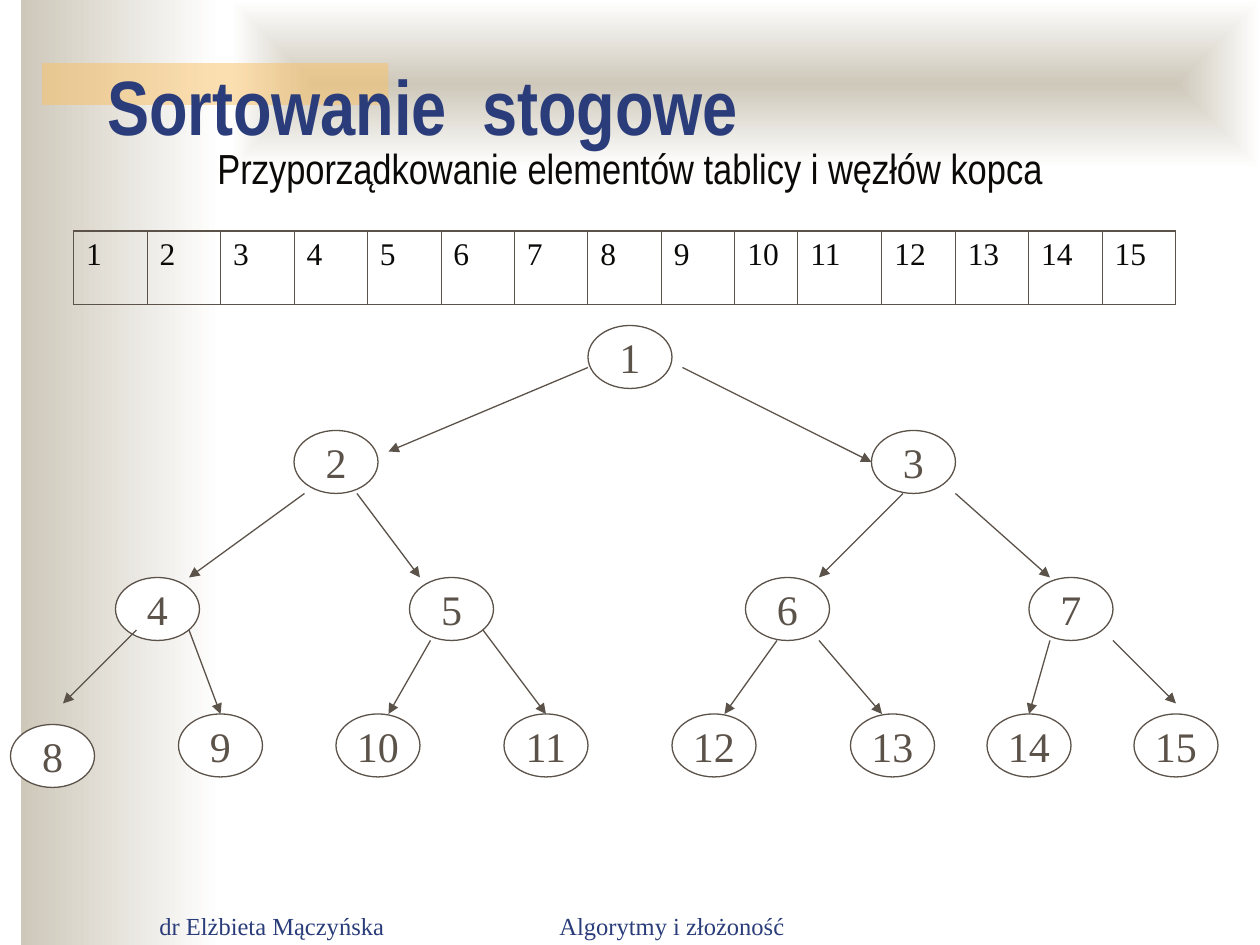
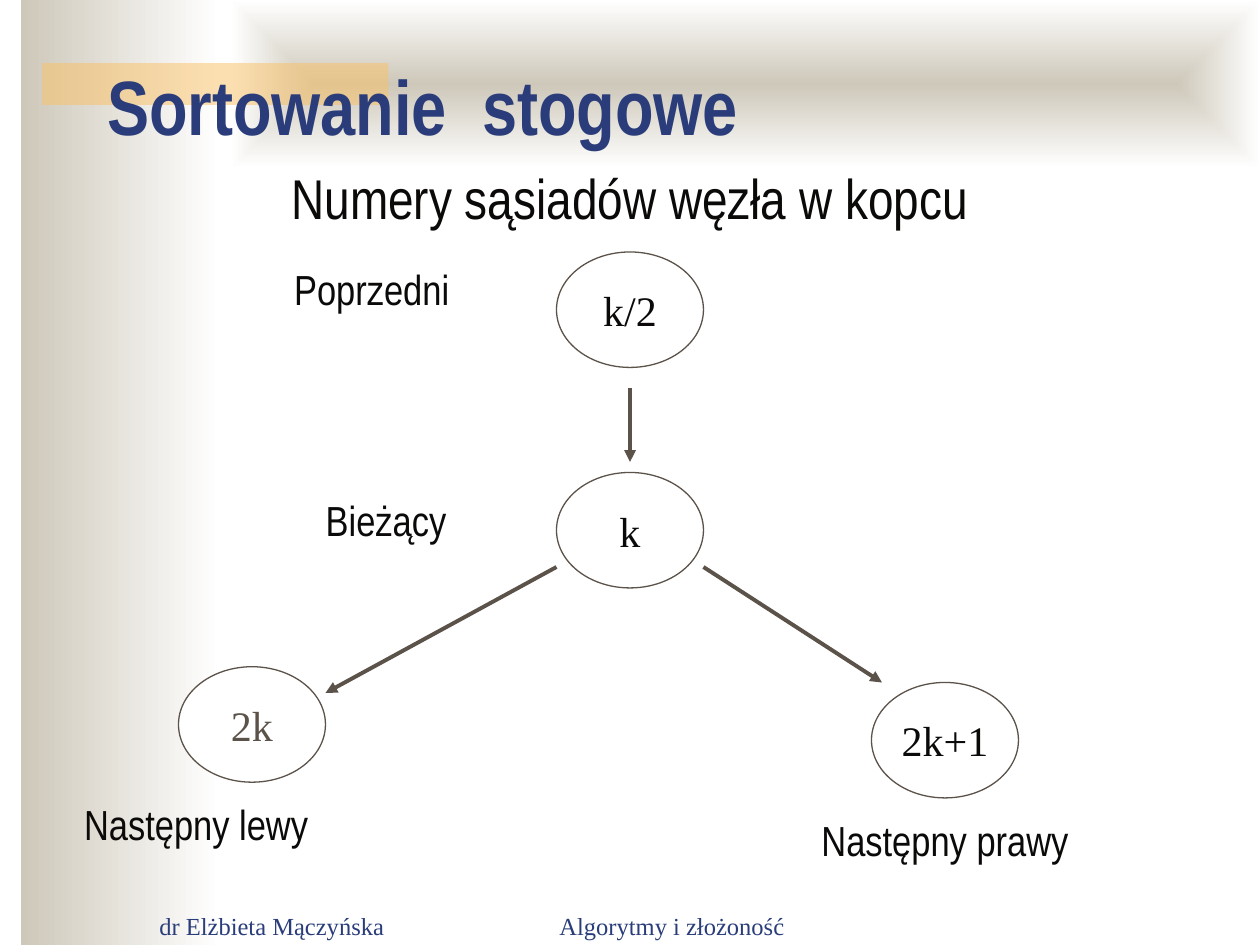
from dataclasses import dataclass

from lxml import etree
from pptx import Presentation
from pptx import util as u
from pptx.dml.color import RGBColor
from pptx.enum import shapes, text
from pptx.oxml.ns import qn

Pt = u.Pt
LEFT, CENTER = text.PP_ALIGN.LEFT, text.PP_ALIGN.CENTER


@dataclass(frozen=True)
class Theme:
    navy: str = "2A3D7A"
    brown: str = "5B5249"
    ink: str = "0B0A09"
    sand: str = "CEC8BA"
    amber: str = "FAC164"
    white: str = "FFFFFF"
    narrow: str = "Arial Narrow"
    serif: str = "Times New Roman"
    title_size: int = 44
    heading_size: int = 32
    label_size: int = 24
    index_size: int = 18
    footer_size: int = 14
    thin: float = 0.75
    thick: float = 2.25
    grid_outer: float = 1.08
    grid_inner: float = 0.45


THEME = Theme()
TITLE = "Sortowanie  stogowe"
MARGINS = {"margin_left": Pt(7.2), "margin_right": Pt(7.2),
           "margin_top": Pt(3.6), "margin_bottom": Pt(3.6)}
NODE_SIZE = (48, 36)
HEAP_NODES = {
    1: (336, 186), 2: (168, 246), 3: (498, 246),
    4: (66, 330), 5: (234, 330), 6: (426, 330), 7: (588, 330),
    8: (6, 414), 9: (102, 408), 10: (192, 408), 11: (288, 408),
    12: (384, 408), 13: (486, 408), 14: (564, 408), 15: (648, 408),
}
ARROWS_TO_CHILD = {
    2: (336, 210, 222, 258), 3: (390, 210, 498, 264),
    4: (174, 282, 108, 330), 5: (204, 282, 240, 330),
    6: (516, 282, 468, 330), 7: (546, 282, 600, 330),
    8: (78, 360, 36, 402), 9: (108, 360, 126, 408),
    10: (246, 366, 222, 408), 11: (276, 360, 312, 408),
    12: (444, 366, 414, 408), 13: (468, 366, 504, 408),
    14: (600, 366, 588, 408), 15: (636, 366, 672, 402),
}
NEIGHBOUR_SIZE = (84, 66)
NEIGHBOURS = [
    ("k/2", 318, 144, THEME.ink),
    ("k", 318, 270, THEME.ink),
    ("2k", 102, 381, THEME.brown),
    ("2k+1", 498, 390, THEME.ink),
]
NEIGHBOUR_ARROWS = [
    (360, 222, 360, 264), (318, 324, 186, 396), (402, 324, 504, 390),
]
NEIGHBOUR_LABELS = [
    ("Poprzedni", 161, 147, 108), ("Bieżący", 179, 279, 90),
    ("Następny lewy", 41, 453, 150), ("Następny prawy", 462.3, 462, 162),
]


def rgb(value):
    return RGBColor.from_string(value)


def apply(target, values):
    for name, value in values.items():
        setattr(target, name, value)


def pts(*lengths):
    return [Pt(length) for length in lengths]


def write(frame, words, font, size, color, align=LEFT, bold=False,
          anchor=text.MSO_ANCHOR.TOP, wrap=True):
    apply(frame, MARGINS | {
        "vertical_anchor": anchor, "word_wrap": wrap,
        "auto_size": text.MSO_AUTO_SIZE.NONE, "text": words,
    })
    style(frame.paragraphs[0], font, size, color, align, bold)


def style(paragraph, font, size, color, align=LEFT, bold=False):
    apply(paragraph, {"alignment": align, "space_before": Pt(0)})
    apply(paragraph.font, {"name": font, "size": Pt(size), "bold": bold})
    paragraph.font.color.rgb = rgb(color)


def add_text(slide, box, words, **look):
    write(slide.shapes.add_textbox(*pts(*box)).text_frame, words, **look)


def add_band(slide, box):
    band = slide.shapes.add_shape(shapes.MSO_SHAPE.RECTANGLE, *pts(*box))
    band.shadow.inherit = False
    band.line.fill.background()
    return band


def fade(band):
    band.fill.gradient()
    band.fill.gradient_angle = 0
    for stop, (position, color) in zip(band.fill.gradient_stops,
                                       [(0, THEME.sand), (1, THEME.white)]):
        stop.position = position
        stop.color.rgb = rgb(color)


def fade_from_center(band):
    fade(band)
    gradient = band._element.spPr.find(qn("a:gradFill"))
    direction = etree.Element(qn("a:path"), {"path": "rect"})
    etree.SubElement(direction, qn("a:fillToRect"), dict.fromkeys("ltrb", "50000"))
    gradient.replace(gradient.find(qn("a:lin")), direction)


def add_master_bands(slide, master):
    side = add_band(slide, (12, 0, 114, 540))
    fade(side)
    top = add_band(slide, (132, 0, 588, 96))
    fade_from_center(top)
    accent = add_band(slide, (24, 36, 198, 24))
    accent.fill.solid()
    accent.fill.fore_color.rgb = rgb(THEME.amber)
    tint = accent._element.spPr.find(qn("a:solidFill"))[0]
    etree.SubElement(tint, qn("a:alpha"), val="50000")
    for order, band in enumerate((side, top, accent)):
        band._element.nvSpPr.cNvPr.set("id", str(100 + order))
        master.shapes._spTree.insert(2 + order, band._element)


def place(placeholder, box):
    apply(placeholder, dict(zip(("left", "top", "width", "height"), pts(*box))))


def add_frame(slide):
    title = slide.shapes.title
    place(title, (54, 0, 612, 90))
    write(title.text_frame, TITLE, THEME.narrow, THEME.title_size, THEME.navy,
          bold=True, anchor=text.MSO_ANCHOR.BOTTOM)
    footer = {"font": THEME.serif, "size": THEME.footer_size,
              "color": THEME.navy, "anchor": text.MSO_ANCHOR.BOTTOM}
    add_text(slide, (84, 505, 150, 36), "dr Elżbieta Mączyńska", **footer)
    add_text(slide, (270, 505, 228, 36), "Algorytmy i złożoność",
             align=CENTER, **footer)


def add_node(slide, words, position, size, color):
    node = slide.shapes.add_shape(shapes.MSO_SHAPE.OVAL, *pts(*position, *size))
    node.shadow.inherit = False
    node.fill.solid()
    node.fill.fore_color.rgb = rgb(THEME.white)
    node.line.color.rgb = rgb(THEME.brown)
    node.line.width = Pt(THEME.thin)
    write(node.text_frame, words, THEME.serif, THEME.label_size, color,
          align=CENTER, anchor=text.MSO_ANCHOR.MIDDLE, wrap=False)
    return node


def add_arrow(slide, ends, width):
    arrow = slide.shapes.add_connector(shapes.MSO_CONNECTOR.STRAIGHT, *pts(*ends))
    arrow.line.color.rgb = rgb(THEME.brown)
    arrow.line.width = Pt(width)
    properties = arrow._element.spPr
    etree.SubElement(properties.find(qn("a:ln")), qn("a:tailEnd"), type="triangle")
    etree.SubElement(properties, qn("a:effectLst"))
    return arrow


def add_borders(cell, widths):
    properties = cell._tc.get_or_add_tcPr()
    for order, (side, width) in enumerate(widths.items()):
        border = etree.Element(qn(f"a:ln{side}"), w=str(Pt(width)))
        paint = etree.SubElement(border, qn("a:solidFill"))
        etree.SubElement(paint, qn("a:srgbClr"), val=THEME.brown)
        properties.insert(order, border)


def add_index_row(slide, count):
    widths = [{10: 36, 11: 48}.get(index, 42) for index in range(1, count + 1)]
    box = pts(42, 132, sum(widths), 42)
    table = slide.shapes.add_table(1, count, *box).table
    apply(table, {"first_row": False, "horz_banding": False})
    table.rows[0].height = Pt(42)
    for index, width in enumerate(widths, 1):
        table.columns[index - 1].width = Pt(width)
        cell = table.cell(0, index - 1)
        cell.fill.background()
        apply(cell, MARGINS | {"text": str(index)})
        style(cell.text_frame.paragraphs[0], THEME.serif, THEME.index_size, THEME.ink)
        add_borders(cell, {
            "L": THEME.grid_outer if index == 1 else THEME.grid_inner,
            "R": THEME.grid_outer if index == count else THEME.grid_inner,
            "T": THEME.grid_outer, "B": THEME.grid_outer,
        })


def build_heap(slide):
    add_frame(slide)
    add_text(slide, (66, 78, 588, 36),
             "Przyporządkowanie elementów tablicy i węzłów kopca",
             font=THEME.narrow, size=THEME.label_size, color=THEME.ink, align=CENTER)
    add_index_row(slide, len(HEAP_NODES))
    nodes = {number: add_node(slide, str(number), position, NODE_SIZE, THEME.brown)
             for number, position in HEAP_NODES.items()}
    for child, ends in ARROWS_TO_CHILD.items():
        arrow = add_arrow(slide, ends, THEME.thin)
        left, top = HEAP_NODES[child]
        if ends[2:] == (left + NODE_SIZE[0] / 2, top):
            arrow.end_connect(nodes[child], 0)


def build_neighbours(slide):
    add_frame(slide)
    heading = slide.placeholders[1]
    place(heading, (54, 90, 612, 390))
    heading.text_frame.text = "Numery sąsiadów węzła w kopcu"
    paragraph = heading.text_frame.paragraphs[0]
    properties = paragraph._p.get_or_add_pPr()
    for name in ("marL", "indent"):
        properties.set(name, "0")
    etree.SubElement(properties, qn("a:buNone"))
    style(paragraph, THEME.narrow, THEME.heading_size, THEME.ink, CENTER)
    for words, left, top, color in NEIGHBOURS:
        add_node(slide, words, (left, top), NEIGHBOUR_SIZE, color)
    for ends in NEIGHBOUR_ARROWS:
        add_arrow(slide, ends, THEME.thick)
    for words, left, top, width in NEIGHBOUR_LABELS:
        add_text(slide, (left, top, width, 36), words, font=THEME.narrow,
                 size=THEME.label_size, color=THEME.ink)


def main():
    deck = Presentation()
    apply(deck, {"slide_width": Pt(720), "slide_height": Pt(540)})
    heap = deck.slides.add_slide(deck.slide_layouts.get_by_name("Title Only"))
    add_master_bands(heap, deck.slide_master)
    build_heap(heap)
    build_neighbours(deck.slides.add_slide(
        deck.slide_layouts.get_by_name("Title and Content")))
    deck.save("out.pptx")


if __name__ == "__main__":
    main()
